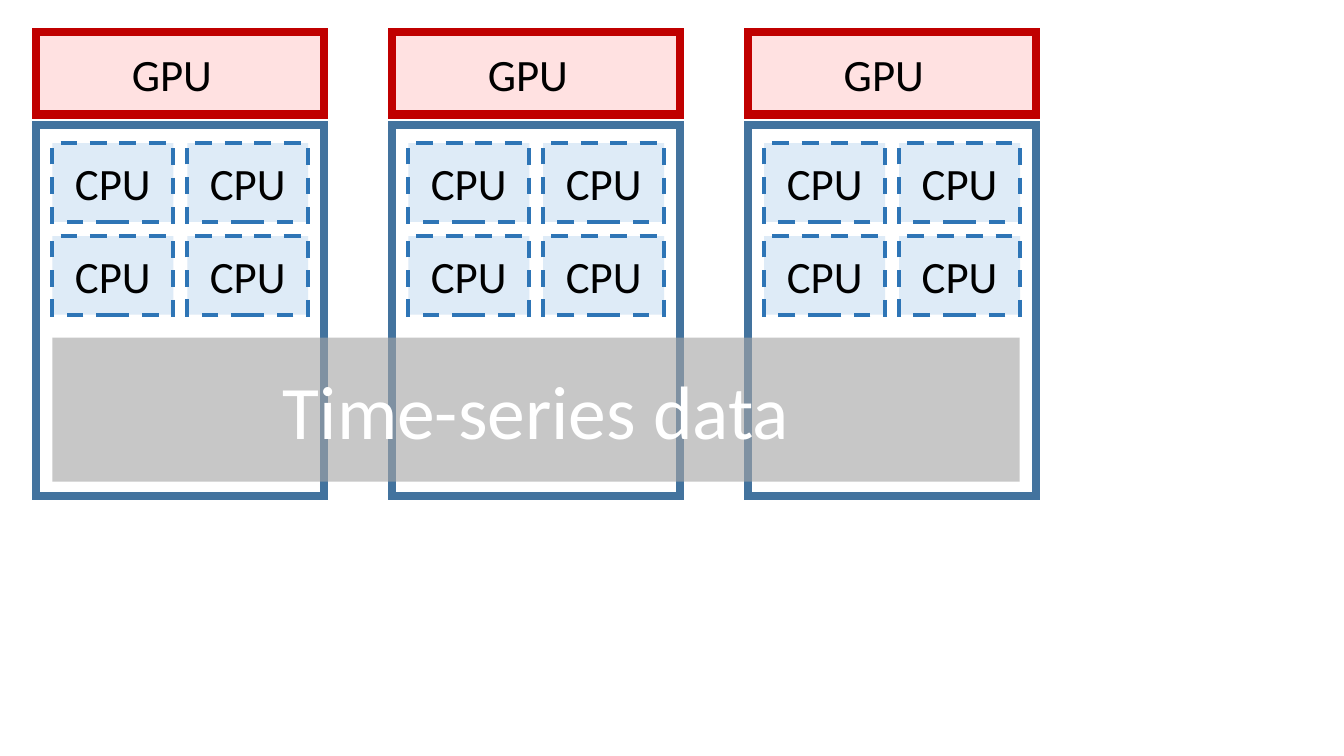
from dataclasses import dataclass
from itertools import product

from lxml import etree
from pptx import Presentation
from pptx.dml.color import RGBColor
from pptx.enum.dml import MSO_LINE
from pptx.enum.shapes import MSO_SHAPE
from pptx.enum.text import MSO_ANCHOR, PP_ALIGN
from pptx.oxml.ns import qn
from pptx.shapes.autoshape import Shape
from pptx.shapes.shapetree import GroupShapes
from pptx.util import Cm, Pt

RECT = MSO_SHAPE.RECTANGLE
DASH = MSO_LINE.DASH
MIDDLE = MSO_ANCHOR.MIDDLE
CENTER = PP_ALIGN.CENTER

BLACK = RGBColor(0x00, 0x00, 0x00)
WHITE = RGBColor(0xFF, 0xFF, 0xFF)
NODE_BLUE = RGBColor(0x43, 0x73, 0x9E)
GPU_RED = RGBColor(0xC0, 0x00, 0x00)
GPU_PINK = RGBColor(0xFF, 0xE1, 0xE1)
CPU_BLUE = RGBColor(0x2E, 0x75, 0xB6)
CPU_PALE = RGBColor(0xDE, 0xEB, 0xF7)
DATA_GREY = RGBColor(0xA5, 0xA5, 0xA5)

FONT = "Calibri"
NODE_COUNT = 3
NODE_LEFT, NODE_PITCH = 0.91, 8.97
CPU_INDENT, CPU_TOP = 0.41, 3.61
CPU_PITCH_X, CPU_PITCH_Y = 3.4, 2.34


@dataclass(frozen=True)
class BoxStyle:
    """Look of a rectangle; lengths in cm, text size and line width in points."""
    width: float
    height: float
    fill: RGBColor | None = None
    opacity: int = 100
    line: RGBColor | None = None
    line_width: float = 0
    dashed: bool = False
    text: str = ""
    size: int = 32
    color: RGBColor = BLACK
    right_inset: float = 0.25


NODE = BoxStyle(7.26, 9.35, line=NODE_BLUE, line_width=6)
GPU = BoxStyle(7.26, 2.08, GPU_PINK, line=GPU_RED, line_width=6,
               text="GPU", right_inset=0.66)
CPU = BoxStyle(3.05, 1.98, CPU_PALE, line=CPU_BLUE, line_width=3,
               dashed=True, text="CPU")
DATA = BoxStyle(24.38, 3.63, DATA_GREY, opacity=62,
                text="Time-series data", size=54, color=WHITE)


def paint_fill(sp: Shape, style: BoxStyle) -> None:
    if style.fill is None:
        sp.fill.background()
        return
    sp.fill.solid()
    sp.fill.fore_color.rgb = style.fill
    if style.opacity < 100:
        color = sp.fill._xPr.find(".//" + qn("a:srgbClr"))
        etree.SubElement(color, qn("a:alpha"), val=str(style.opacity * 1000))


def paint_line(sp: Shape, style: BoxStyle) -> None:
    """Draw the outline with square corners, or none."""
    if style.line is None:
        sp.line.fill.background()
        return
    sp.line.color.rgb = style.line
    sp.line.width = Pt(style.line_width)
    if style.dashed:
        sp.line.dash_style = DASH
    ln = sp._element.spPr.find(qn("a:ln"))
    etree.SubElement(ln, qn("a:miter"), lim="800000")


def write_text(sp: Shape, style: BoxStyle) -> None:
    tf = sp.text_frame
    tf.word_wrap = True
    tf.vertical_anchor = MIDDLE
    tf.margin_left = Cm(0.25)
    tf.margin_right = Cm(style.right_inset)
    p = tf.paragraphs[0]
    p.alignment = CENTER
    r = p.add_run()
    r.text = style.text
    r.font.name = FONT
    r.font.size = Pt(style.size)
    r.font.color.rgb = style.color


def add_box(shapes: GroupShapes, left: float, top: float, style: BoxStyle) -> None:
    sp = shapes.add_shape(RECT, Cm(left), Cm(top), Cm(style.width), Cm(style.height))
    sp.shadow.inherit = False
    paint_fill(sp, style)
    paint_line(sp, style)
    if style.text:
        write_text(sp, style)


def add_node(shapes: GroupShapes, left: float) -> None:
    """Add one machine: its frame, a GPU on top and a 2 by 2 grid of CPUs."""
    add_box(shapes, left, 3.15, NODE)
    add_box(shapes, left, 0.81, GPU)
    for row, col in product(range(2), repeat=2):
        add_box(shapes, left + CPU_INDENT + col * CPU_PITCH_X,
                CPU_TOP + row * CPU_PITCH_Y, CPU)


def main() -> None:
    prs = Presentation()
    prs.slide_width, prs.slide_height = Cm(33.87), Cm(19.05)
    s = prs.slides.add_slide(prs.slide_layouts[6])
    cluster = s.shapes.add_group_shape().shapes
    for i in range(NODE_COUNT):
        add_node(cluster, NODE_LEFT + i * NODE_PITCH)
    add_box(cluster, NODE_LEFT + CPU_INDENT, 8.51, DATA)
    prs.save("out.pptx")


if __name__ == "__main__":
    main()
